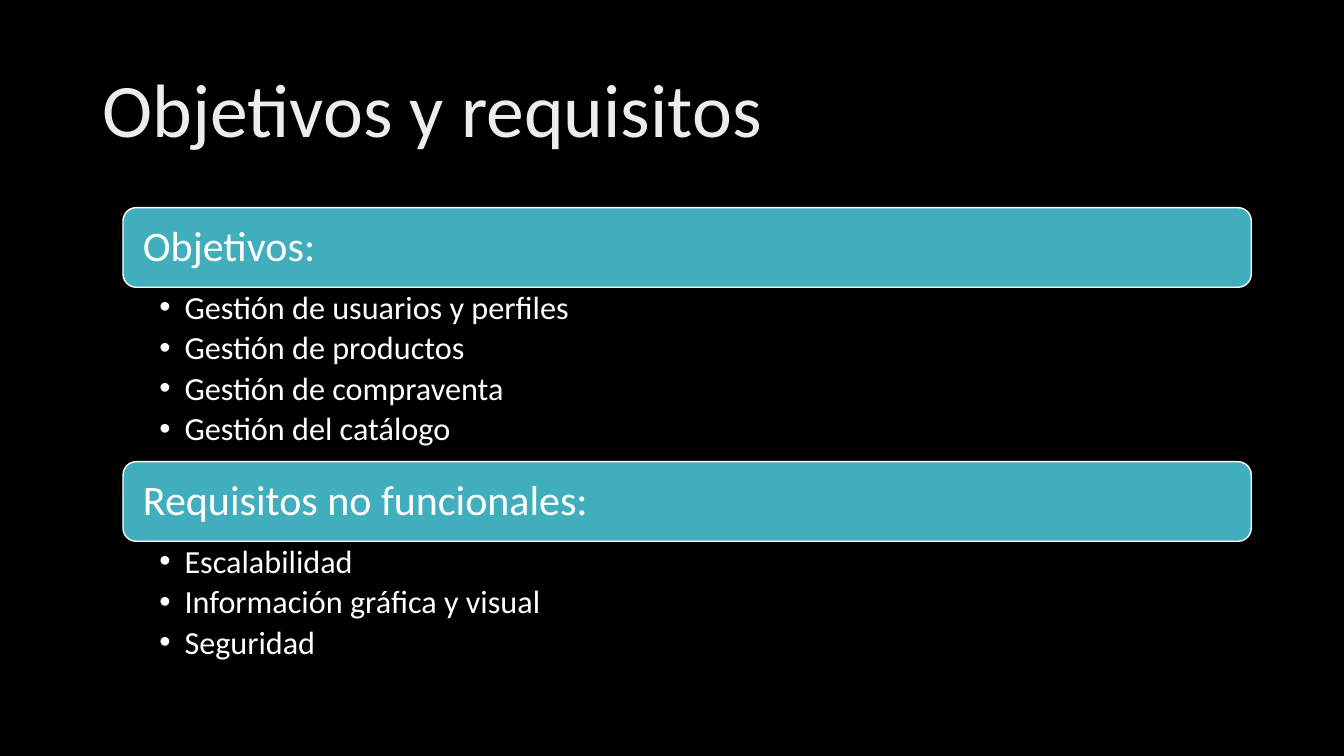
from lxml.etree import SubElement
from pptx import Presentation
from pptx.dml.color import RGBColor
from pptx.enum.shapes import MSO_SHAPE
from pptx.enum.text import MSO_ANCHOR, PP_ALIGN
from pptx.oxml.ns import qn
from pptx.util import Inches, Pt

TITLE = "Objetivos y requisitos"
SECTIONS = [
    ("Objetivos:", [
        "Gestión de usuarios y perfiles",
        "Gestión de productos",
        "Gestión de compraventa",
        "Gestión del catálogo",
    ]),
    ("Requisitos no funcionales:", [
        "Escalabilidad",
        "Información gráfica y visual",
        "Seguridad",
    ]),
]
LEFT, TOP, WIDTH = 1.22, 2.06, 11.19
HEADING_HEIGHT = 0.79
ITEM_PITCH, LIST_PADDING = 0.41, 0.09


def paint(target, color):
    target.solid()
    target.fore_color.rgb = RGBColor.from_string(color)


def set_frame(frame, insets, anchor):
    frame.word_wrap = True
    frame.vertical_anchor = anchor
    (frame.margin_left, frame.margin_top,
     frame.margin_right, frame.margin_bottom) = map(Inches, insets)


def style(paragraph, size, color):
    paragraph.alignment = PP_ALIGN.LEFT
    paragraph.line_spacing = 0.9
    for run in paragraph.runs:
        run.font.name = "Calibri"
        run.font.size = Pt(size)
        paint(run.font.fill, color)


def add_bullet(paragraph):
    properties = paragraph._p.get_or_add_pPr()
    properties.set("marL", str(Inches(0.25)))
    properties.set("indent", str(-Inches(0.25)))
    SubElement(properties, qn("a:buFont")).set("typeface", "Arial")
    SubElement(properties, qn("a:buChar")).set("char", "•")


def add_heading(slide, text, top):
    heading = slide.shapes.add_shape(
        MSO_SHAPE.ROUNDED_RECTANGLE,
        Inches(LEFT), Inches(top), Inches(WIDTH), Inches(HEADING_HEIGHT))
    heading.shadow.inherit = False
    paint(heading.fill, "41AEBD")
    paint(heading.line.fill, "FFFFFF")
    heading.line.width = Pt(1)
    frame = heading.text_frame
    set_frame(frame, (0.16, 0.12, 0.16, 0.12), MSO_ANCHOR.MIDDLE)
    frame.text = text
    style(frame.paragraphs[0], 30, "FFFFFF")


def add_items(slide, items, top, height):
    frame = slide.shapes.add_textbox(
        Inches(LEFT), Inches(top), Inches(WIDTH), Inches(height)).text_frame
    set_frame(frame, (0.36, 0.04, 0.23, 0.04), MSO_ANCHOR.TOP)
    frame.text = "\n".join(items)
    for item in frame.paragraphs:
        add_bullet(item)
        style(item, 23, "FFFFFF")
        item.space_after = Pt(4.1)


def main():
    deck = Presentation()
    deck.slide_width, deck.slide_height = Inches(13.33), Inches(7.5)
    slide = deck.slides.add_slide(deck.slide_layouts[6])
    paint(slide.background.fill, "000000")

    title = slide.shapes.add_textbox(
        Inches(0.92), Inches(0.4), Inches(11.5), Inches(1.45)).text_frame
    set_frame(title, (0.1, 0.05, 0.1, 0.05), MSO_ANCHOR.MIDDLE)
    title.text = TITLE
    style(title.paragraphs[0], 54, "EDEDED")

    top = TOP
    for heading, items in SECTIONS:
        add_heading(slide, heading, top)
        top += HEADING_HEIGHT
        height = len(items) * ITEM_PITCH + LIST_PADDING
        add_items(slide, items, top, height)
        top += height

    deck.save("out.pptx")


if __name__ == "__main__":
    main()
